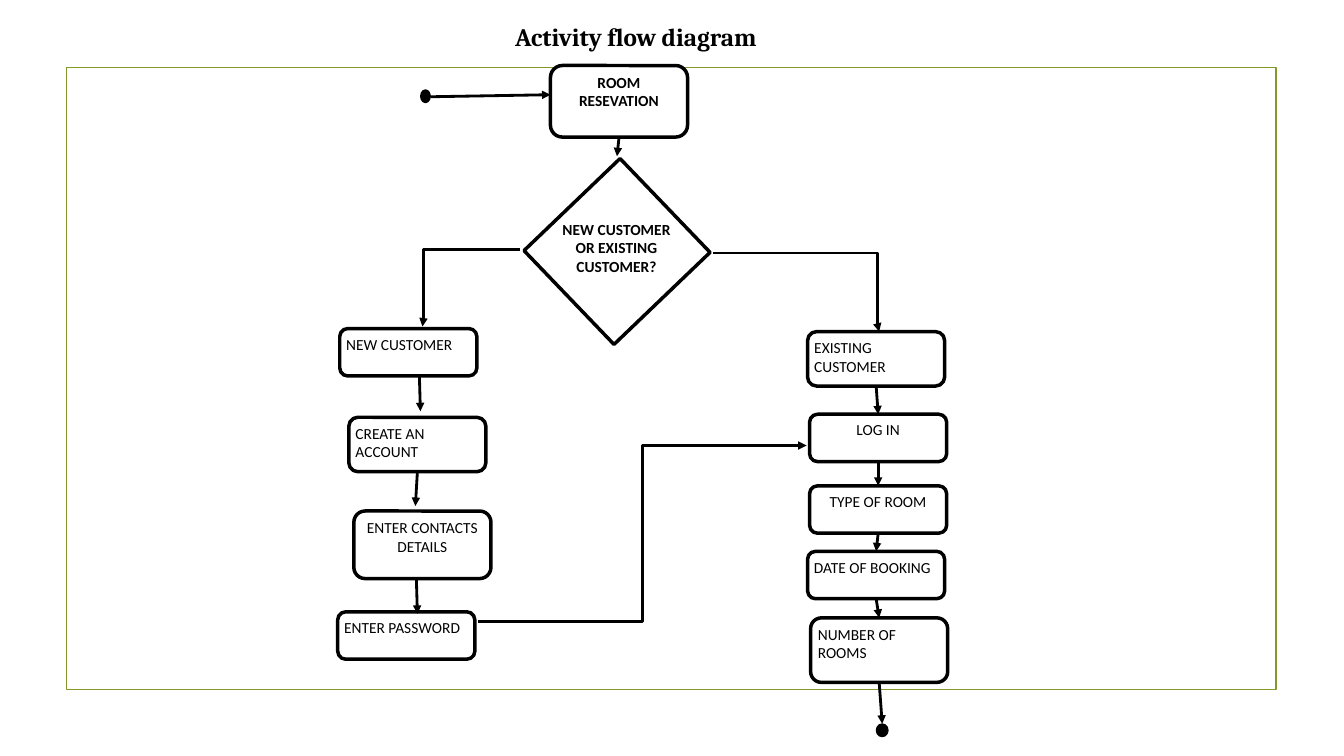
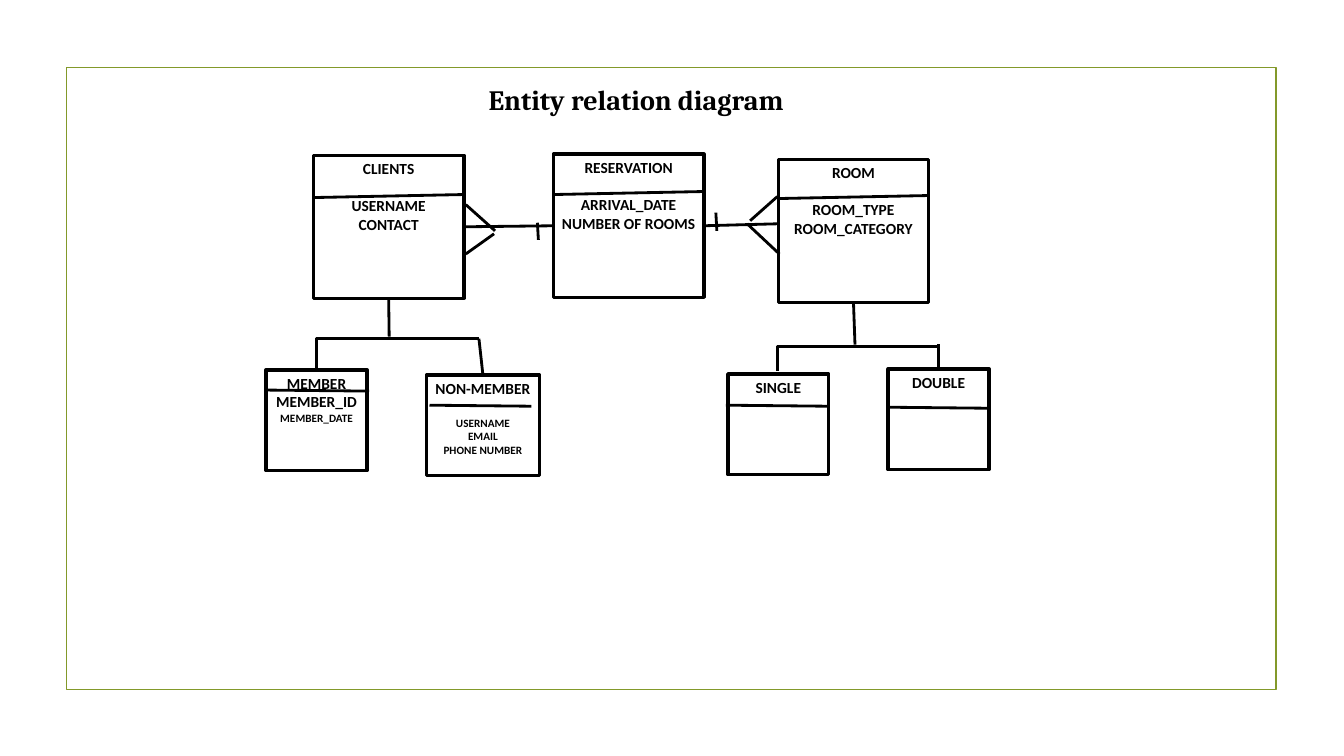
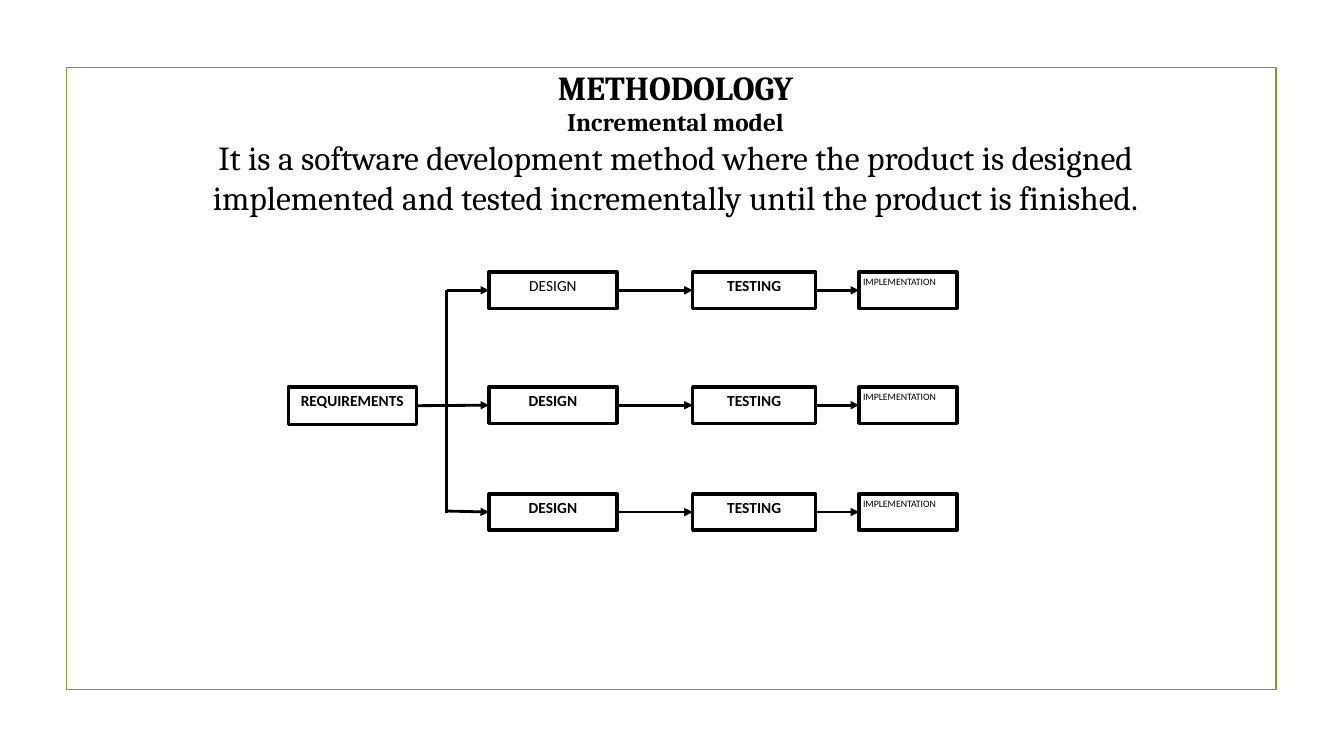
from dataclasses import dataclass
from math import hypot

from lxml.etree import SubElement
from pptx import Presentation
from pptx.dml.color import RGBColor
from pptx.enum.shapes import MSO_CONNECTOR, MSO_SHAPE
from pptx.enum.text import MSO_ANCHOR, PP_ALIGN
from pptx.oxml.ns import qn
from pptx.util import Inches, Pt

BLACK, WHITE, OLIVE = "000000", "FFFFFF", "83992A"
BODY_FONT, TITLE_FONT = "Calibri", "Cambria"
BOX_INSET = 0.04
JOIN_DISTANCE = 0.06
HEADER_GAP = 13.4  # one empty 11 pt line


@dataclass(frozen=True)
class Para:
    text: str
    size: float = 11
    bold: bool = False
    center: bool = True
    gap: float = 0


@dataclass(frozen=True)
class Box:
    left: float
    top: float
    width: float
    height: float
    paras: tuple[Para, ...] = ()
    preset: MSO_SHAPE = MSO_SHAPE.RECTANGLE
    rotation: float = 0


@dataclass(frozen=True)
class Link:
    x1: float
    y1: float
    x2: float
    y2: float


@dataclass(frozen=True)
class Elbow(Link):
    """A bent link; turn is the share of the width where it runs vertically."""
    turn: float = 0.5


def rgb(color: str) -> RGBColor:
    return RGBColor.from_string(color)


def step(left: float, top: float, height: float, text: str,
         center: bool = False, bold: bool = False) -> Box:
    paras = tuple(Para(t, bold=bold, center=center) for t in text.split("\n"))
    return Box(left, top, 1.36, height, paras, MSO_SHAPE.ROUNDED_RECTANGLE)


def entity(left: float, top: float, width: float, height: float, name: str,
           *fields: str, size: float = 11) -> Box:
    """A box with a name and, one line below, its fields."""
    rows = [Para(f, size, True, gap=0 if i else HEADER_GAP)
            for i, f in enumerate(fields)]
    return Box(left, top, width, height, (Para(name, bold=True), *rows))


def write(shape, paras: tuple[Para, ...], font: str, inset: float | None = None) -> None:
    tf = shape.text_frame
    tf.word_wrap = True
    tf.vertical_anchor = MSO_ANCHOR.TOP
    if inset is not None:
        tf.margin_left = tf.margin_right = Inches(inset)
        tf.margin_top = tf.margin_bottom = Inches(inset)
    tf.text = "\n".join(para.text for para in paras)
    for p, para in zip(tf.paragraphs, paras):
        p.alignment = PP_ALIGN.CENTER if para.center else PP_ALIGN.LEFT
        p.space_before = Pt(para.gap)
        for r in p.runs:
            r.font.name = font
            r.font.size = Pt(para.size)
            r.font.bold = para.bold
            r.font.color.rgb = rgb(BLACK)


def draw_shape(s, preset: MSO_SHAPE, at: tuple[float, ...], fill: str | None,
               line: str, weight: float):
    sp = s.shapes.add_shape(preset, *map(Inches, at))
    sp.shadow.inherit = False
    if fill:
        sp.fill.solid()
        sp.fill.fore_color.rgb = rgb(fill)
    else:
        sp.fill.background()
    sp.line.color.rgb = rgb(line)
    sp.line.width = Pt(weight)
    return sp


def draw_boxes(s, boxes: list[Box]) -> list:
    shapes = []
    for box in boxes:
        at = (box.left, box.top, box.width, box.height)
        sp = draw_shape(s, box.preset, at, WHITE, BLACK, 2.5)
        sp.rotation = box.rotation
        if box.paras:
            write(sp, box.paras, BODY_FONT, BOX_INSET)
        shapes.append(sp)
    return shapes


def draw_dot(s, left: float, top: float, width: float) -> None:
    draw_shape(s, MSO_SHAPE.OVAL, (left, top, width, 0.11), BLACK, BLACK, 2)


def draw_text(s, at: tuple[float, ...], paras: tuple[Para, ...],
              font: str = TITLE_FONT, inset: float | None = None) -> None:
    write(s.shapes.add_textbox(*map(Inches, at)), paras, font, inset)


def find_site(shapes: list, x: float, y: float) -> tuple | None:
    """Return the box and side whose middle lies at the point, if any."""
    for sp in shapes:
        mid_x, mid_y = sp.left + sp.width // 2, sp.top + sp.height // 2
        sites = ((mid_x, sp.top), (sp.left, mid_y),
                 (mid_x, sp.top + sp.height), (sp.left + sp.width, mid_y))
        for side, (sx, sy) in enumerate(sites):
            if hypot(sx - Inches(x), sy - Inches(y)) < Inches(JOIN_DISTANCE):
                return sp, side
    return None


def draw_links(s, links: list[Link], shapes: list, arrow: str | None = None) -> None:
    """Draw links; arrow is the line end, headEnd or tailEnd, with a triangle."""
    for link in links:
        bent = isinstance(link, Elbow)
        kind = MSO_CONNECTOR.ELBOW if bent else MSO_CONNECTOR.STRAIGHT
        ends = map(Inches, (link.x1, link.y1, link.x2, link.y2))
        c = s.shapes.add_connector(kind, *ends)
        c.line.color.rgb = rgb(BLACK)
        c.line.width = Pt(2)
        sp_pr = c._element.spPr
        if arrow:
            SubElement(sp_pr.find(qn("a:ln")), qn(f"a:{arrow}"), type="triangle")
        SubElement(sp_pr, qn("a:effectLst"))
        if bent:
            guides = sp_pr.find(qn("a:prstGeom")).find(qn("a:avLst"))
            SubElement(guides, qn("a:gd"), name="adj1",
                       fmla=f"val {round(link.turn * 100000)}")
            continue
        if begin := find_site(shapes, link.x1, link.y1):
            c.begin_connect(*begin)
        if end := find_site(shapes, link.x2, link.y2):
            c.end_connect(*end)


def add_framed_slide(prs):
    s = prs.slides.add_slide(prs.slide_layouts[6])
    draw_shape(s, MSO_SHAPE.RECTANGLE, (0.66, 0.67, 12, 6.17), None, OLIVE, 1.25)
    return s


def build_activity(prs) -> None:
    s = add_framed_slide(prs)
    shapes = draw_boxes(s, [
        step(5.46, 0.65, 0.71, "ROOM\nRESEVATION", center=True, bold=True),
        Box(5.46, 1.85, 1.32, 1.29, rotation=316.2),
        step(8.01, 3.29, 0.54, "EXISTING CUSTOMER"),
        step(3.37, 3.26, 0.47, "NEW CUSTOMER"),
        step(3.46, 4.14, 0.54, "CREATE AN ACCOUNT"),
        step(3.51, 5.07, 0.67, "ENTER CONTACTS\nDETAILS", center=True),
        step(3.35, 6.07, 0.47, "ENTER PASSWORD"),
        step(8.03, 4.82, 0.47, "TYPE OF ROOM", center=True),
        step(8.03, 4.11, 0.47, "LOG IN", center=True),
        step(8.01, 5.47, 0.47, "DATE OF BOOKING"),
        step(8.04, 6.13, 0.64, "NUMBER OF ROOMS"),
    ])
    draw_links(s, [
        Link(4.27, 0.96, 5.46, 0.94),
        Link(6.13, 1.34, 6.12, 1.55),
        Elbow(7.07, 2.51, 8.72, 3.29, turn=0.99),
        Link(4.16, 3.74, 4.17, 4.08),
        Link(4.11, 4.68, 4.12, 5.02),
        Link(4.13, 5.75, 4.14, 6.09),
        Elbow(4.74, 6.17, 8, 4.42),
        Link(8.72, 3.85, 8.71, 4.11),
        Link(8.74, 4.57, 8.73, 4.83),
        Link(8.73, 5.27, 8.72, 5.47),
        Link(8.73, 5.96, 8.74, 6.15),
        Link(8.73, 6.81, 8.75, 7.18),
    ], shapes, "tailEnd")
    draw_links(s, [Elbow(4.19, 3.24, 5.16, 2.48, turn=0.01)], shapes, "headEnd")
    draw_dot(s, 4.18, 0.9, 0.08)
    draw_dot(s, 8.7, 7.19, 0.1)
    question = (Para("NEW CUSTOMER OR EXISTING", bold=True),
                Para("CUSTOMER?", bold=True))
    draw_text(s, (5.53, 2.14, 1.17, 0.89), question, BODY_FONT, BOX_INSET)
    draw_text(s, (5.01, 0.16, 2.88, 0.4),
              (Para("Activity flow diagram", 18, True, center=False),))


def build_entities(prs) -> None:
    s = add_framed_slide(prs)
    member = (Para("MEMBER", bold=True), Para("MEMBER_ID", bold=True),
              Para("MEMBER_DATE", 8, True))
    shapes = draw_boxes(s, [
        entity(3.11, 1.54, 1.49, 1.42, "CLIENTS", "USERNAME", "CONTACT"),
        entity(5.49, 1.53, 1.49, 1.42, "RESERVATION", "ARRIVAL_DATE", "NUMBER OF ROOMS"),
        entity(7.72, 1.58, 1.49, 1.42, "ROOM", "ROOM_TYPE", "ROOM_CATEGORY"),
        Box(2.64, 3.67, 1, 1, member),
        entity(4.23, 3.72, 1.12, 1, "NON-MEMBER",
               "USERNAME", "EMAIL", "PHONE NUMBER", size=8),
        entity(7.22, 3.71, 1, 1, "SINGLE"),
        entity(8.81, 3.66, 1, 1, "DOUBLE"),
    ])
    relations = [Link(4.61, 2.29, 5.48, 2.29), Link(7, 2.21, 7.73, 2.22)]
    subtypes = [
        Link(3.85, 2.96, 3.86, 3.34),
        Elbow(3.14, 3.67, 4.75, 3.36, turn=0),
        Link(4.75, 3.68, 4.75, 3.36),
        Link(8.46, 2.99, 8.48, 3.42),
        Elbow(7.71, 3.68, 9.31, 3.44, turn=0),
        Link(9.32, 3.62, 9.31, 3.41),
    ]
    one_marks = [Link(5.33, 2.21, 5.34, 2.38), Link(7.1, 2.11, 7.11, 2.29)]
    many_marks = [
        Link(4.62, 2.03, 4.91, 2.29),
        Link(4.9, 2.32, 4.62, 2.52),
        Link(7.41, 2.22, 7.73, 2.52),
        Link(7.44, 2.19, 7.71, 1.95),
    ]
    dividers = [Link(x, y, x + 1.01, y + 0.01) for x, y in
                ((2.65, 3.87), (4.26, 4.02), (7.2, 4.02), (8.8, 4.04))]
    dividers += [Link(x, y, x + 1.49, y - 0.03) for x, y in
                 ((3.11, 1.96), (5.49, 1.93), (7.72, 1.97))]
    draw_links(s, relations + subtypes + one_marks + many_marks + dividers, shapes)
    draw_text(s, (3.66, 0.77, 5.3, 0.44), (Para("Entity relation diagram", 20, True),))


def build_methodology(prs) -> None:
    s = add_framed_slide(prs)
    draw_text(s, (1.75, 0.61, 9.9, 2.32), (
        Para("METHODOLOGY", 24, True),
        Para("Incremental model", 18, True),
        Para("It is a software development method where the product is designed "
             "implemented and tested incrementally until the product is finished.", 24),
    ))
    boxes = [Box(2.86, 3.84, 1.27, 0.37, (Para("REQUIREMENTS", bold=True),))]
    for i, top in enumerate((2.7, 3.84, 4.9)):
        boxes += [
            Box(4.85, top, 1.27, 0.36, (Para("DESIGN", bold=i > 0),)),
            Box(6.87, top, 1.22, 0.36, (Para("TESTING", bold=True),)),
            Box(8.52, top, 0.97, 0.36, (Para("IMPLEMENTATION", 7, center=False),)),
        ]
    shapes = draw_boxes(s, boxes)
    arrows = [Link(4.13, 4.05, 4.86, 4.06),
              Link(4.43, 2.88, 4.82, 2.88),
              Link(4.43, 5.07, 4.85, 5.07)]
    for y in (2.89, 3.99, 5.07):
        arrows += [Link(6.13, y, 6.86, y), Link(8.09, y, 8.52, y)]
    draw_links(s, arrows, shapes, "tailEnd")
    draw_links(s, [Link(4.43, 2.88, 4.43, 5.09)], shapes)


def main() -> None:
    prs = Presentation()
    prs.slide_width, prs.slide_height = Inches(13.33), Inches(7.5)
    build_activity(prs)
    build_entities(prs)
    build_methodology(prs)
    prs.save("out.pptx")


if __name__ == "__main__":
    main()
